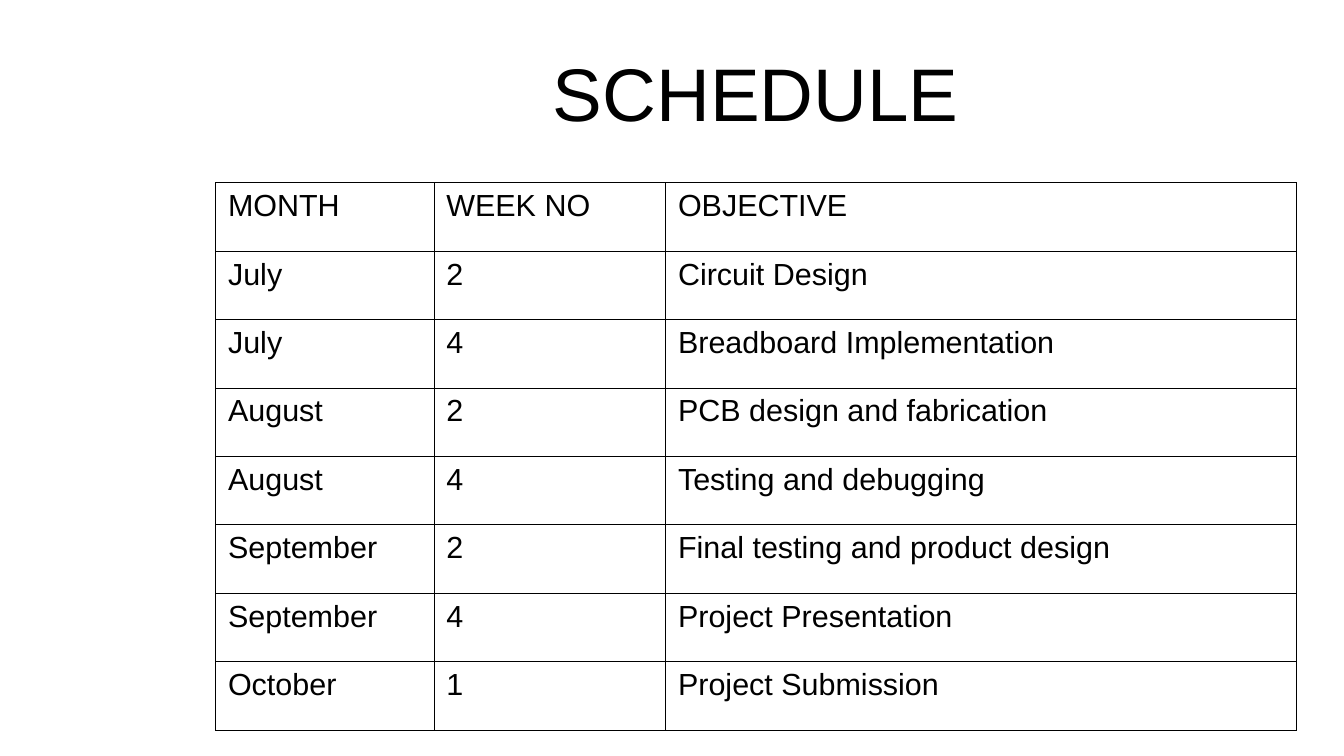
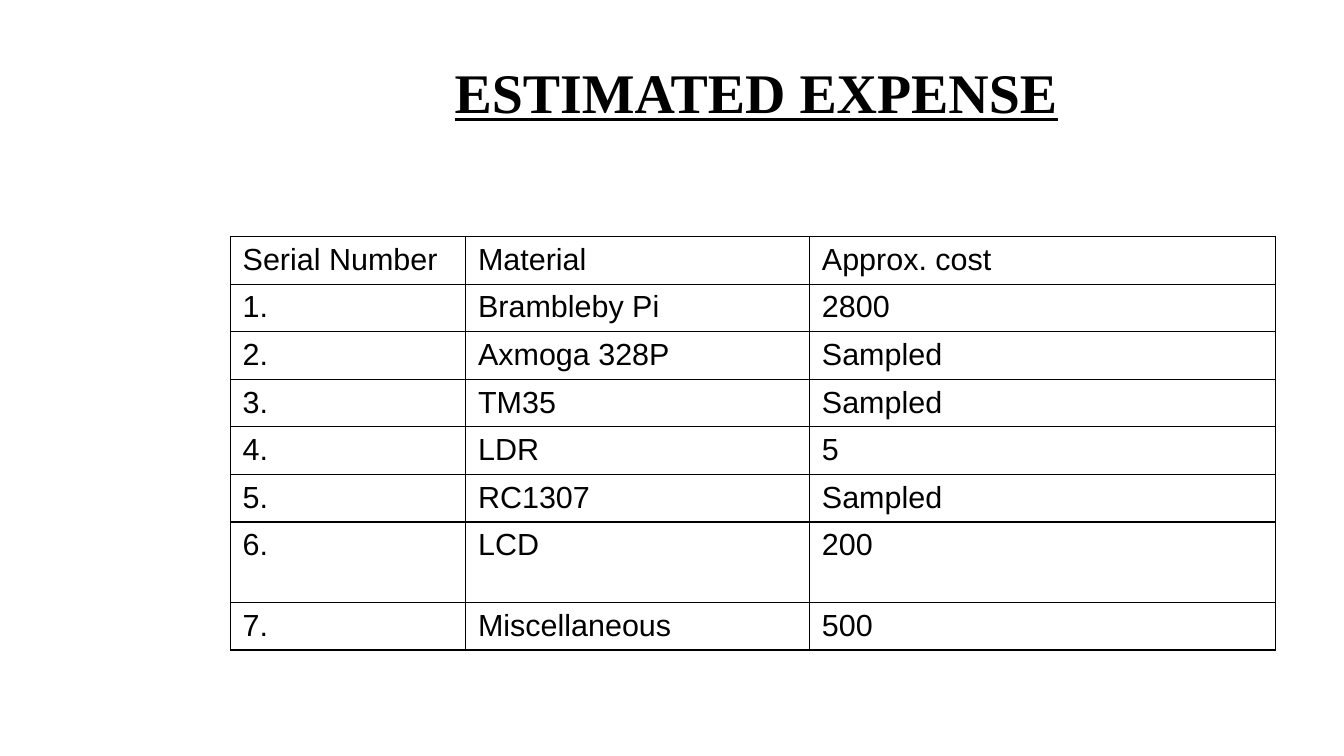
from lxml import etree
from pptx import Presentation
from pptx.dml.color import RGBColor
from pptx.enum import text
from pptx.oxml.ns import qn
from pptx.util import Inches, Pt

BLACK = RGBColor(0x00, 0x00, 0x00)
WHITE = RGBColor(0xFF, 0xFF, 0xFF)
BODY_FONT = "Arial"
BODY_SIZE = 18
BORDER_WIDTH = 0.75
TITLE_BOX = (1.77, 0.24, 8.86, 1.02)

SLIDES = [
    {
        "title": "SCHEDULE",
        "title_style": {"name": "Arial", "size": Pt(44)},
        "position": (1.77, 1.5),
        "columns": [1.79, 1.9, 5.17],
        "height": 4.49,
        "tall_rows": {},
        "rows": [
            ("MONTH", "WEEK NO", "OBJECTIVE"),
            ("July", "2", "Circuit Design"),
            ("July", "4", "Breadboard Implementation"),
            ("August", "2", "PCB design and fabrication"),
            ("August", "4", "Testing and debugging"),
            ("September", "2", "Final testing and product design"),
            ("September", "4", "Project Presentation"),
            ("October", "1", "Project Submission"),
        ],
    },
    {
        "title": "ESTIMATED EXPENSE",
        "title_style": {"name": "Times New Roman", "size": Pt(33),
                        "bold": True, "underline": True},
        "position": (1.89, 1.94),
        "columns": [1.93, 2.82, 3.82],
        "height": 3.34,
        "tall_rows": {6: 0.66},
        "rows": [
            ("Serial Number", "Material", "Approx. cost"),
            ("1.", "Brambleby Pi", "2800"),
            ("2.", "Axmoga 328P", "Sampled"),
            ("3.", "TM35", "Sampled"),
            ("4.", "LDR", "5"),
            ("5.", "RC1307", "Sampled"),
            ("6.", "LCD", "200"),
            ("7.", "Miscellaneous", "500"),
        ],
    },
]


def add_run(paragraph, words, **style):
    run = paragraph.add_run()
    run.text = words
    run.font.color.rgb = BLACK
    for attribute, value in style.items():
        setattr(run.font, attribute, value)


def add_title(slide, words, style):
    frame = slide.shapes.add_textbox(*map(Inches, TITLE_BOX)).text_frame
    frame.word_wrap = True
    frame.vertical_anchor = text.MSO_ANCHOR.MIDDLE
    frame.margin_left = frame.margin_right = 0
    frame.margin_top = frame.margin_bottom = 0
    paragraph = frame.paragraphs[0]
    paragraph.alignment = text.PP_ALIGN.CENTER
    add_run(paragraph, words, **style)


def add_borders(cell):
    """Line all four sides; borders must precede the fill in tcPr."""
    properties = cell._tc.get_or_add_tcPr()
    for index, side in enumerate(("lnL", "lnR", "lnT", "lnB")):
        line = etree.Element(qn(f"a:{side}"), w=str(Pt(BORDER_WIDTH)))
        fill = etree.SubElement(line, qn("a:solidFill"))
        etree.SubElement(fill, qn("a:srgbClr"), val=str(BLACK))
        properties.insert(index, line)


def add_table(slide, content):
    rows, columns = content["rows"], content["columns"]
    tall_rows = content["tall_rows"]
    row_height = ((content["height"] - sum(tall_rows.values()))
                  / (len(rows) - len(tall_rows)))
    left, top = content["position"]
    table = slide.shapes.add_table(
        len(rows), len(columns), Inches(left), Inches(top),
        Inches(sum(columns)), Inches(content["height"])).table
    table.first_row = table.horz_banding = False
    for column, width in zip(table.columns, columns):
        column.width = Inches(width)
    for row_index, values in enumerate(rows):
        row = table.rows[row_index]
        row.height = Inches(tall_rows.get(row_index, row_height))
        for cell, value in zip(row.cells, values):
            cell.margin_top, cell.margin_bottom = Inches(0.05), Inches(0.04)
            cell.fill.background()
            add_borders(cell)
            add_run(cell.text_frame.paragraphs[0], value,
                    name=BODY_FONT, size=Pt(BODY_SIZE))


def main():
    presentation = Presentation()
    presentation.slide_width = Inches(11.02)
    presentation.slide_height = Inches(6.2)
    for content in SLIDES:
        slide = presentation.slides.add_slide(presentation.slide_layouts[6])
        slide.background.fill.solid()
        slide.background.fill.fore_color.rgb = WHITE
        add_title(slide, content["title"], content["title_style"])
        add_table(slide, content)
    presentation.save("out.pptx")


if __name__ == "__main__":
    main()
